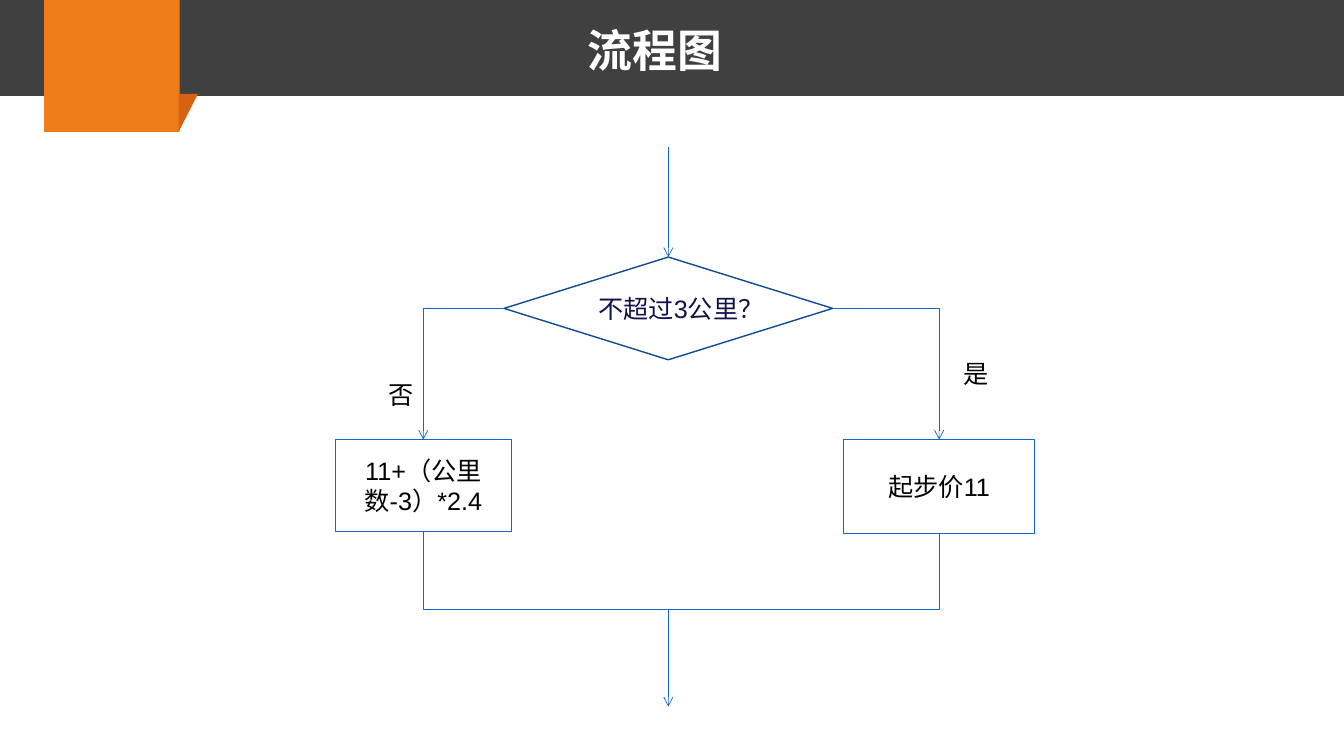
from dataclasses import dataclass

from lxml import etree
from pptx import Presentation
from pptx.dml.color import RGBColor
from pptx.enum.shapes import MSO_CONNECTOR, MSO_SHAPE
from pptx.enum.text import MSO_ANCHOR, PP_ALIGN
from pptx.oxml.ns import qn
from pptx.util import Pt

RECT = MSO_SHAPE.RECTANGLE
DIAMOND = MSO_SHAPE.DIAMOND
WEDGE = MSO_SHAPE.RIGHT_TRIANGLE
LINE = MSO_CONNECTOR.STRAIGHT
ELBOW = MSO_CONNECTOR.ELBOW
MIDDLE = MSO_ANCHOR.MIDDLE
CENTER = PP_ALIGN.CENTER
LEFT = PP_ALIGN.LEFT
TOP_SIDE, LEFT_SIDE, BASE_SIDE, RIGHT_SIDE = range(4)


@dataclass(frozen=True)
class Theme:
    band: str = "404040"
    tab: str = "EE7D19"
    fold: str = "D76213"
    white: str = "FFFFFF"
    black: str = "000000"
    navy: str = "12124A"
    rim: str = "0F4B99"
    blue: str = "1465CF"
    head: int = 32
    body: int = 18
    thin: float = 0.5
    edge: float = 1


THEME = Theme()
MID = 477.4  # axis of the flow
JOIN = 435.6  # height where both branches meet


def write(frame, text, align, color=THEME.black, size=THEME.body,
          face="Arial", bold=False):
    para = frame.paragraphs[0]
    para.alignment = align
    run = para.add_run()
    run.text = text
    style = {"name": face, "size": Pt(size), "bold": bold}
    for key, value in style.items():
        setattr(run.font, key, value)
    run.font.color.rgb = RGBColor.from_string(color)


def block(slide, kind, box, fill=None, line=None):
    shape = slide.shapes.add_shape(kind, *map(Pt, box))
    shape.shadow.inherit = False
    if fill:
        shape.fill.solid()
        shape.fill.fore_color.rgb = RGBColor.from_string(fill)
    else:
        shape.fill.background()
    if line:
        shape.line.color.rgb = RGBColor.from_string(line)
        shape.line.width = Pt(THEME.edge)
    else:
        shape.line.fill.background()
    return shape


def node(slide, kind, box, text, fill, line, color):
    shape = block(slide, kind, box, fill, line)
    shape.text_frame.word_wrap = True
    shape.text_frame.vertical_anchor = MIDDLE
    write(shape.text_frame, text, CENTER, color)
    return shape


def label(slide, box, text, align=LEFT, wrap=False, **style):
    frame = slide.shapes.add_textbox(*map(Pt, box)).text_frame
    frame.word_wrap = wrap
    write(frame, text, align, **style)


def link(slide, kind, start, end, begin=None, finish=None, arrow=True):
    """Draw a line; begin and finish are (shape, side) pairs to join."""
    line = slide.shapes.add_connector(kind, *map(Pt, start + end))
    if begin:
        line.begin_connect(*begin)
    if finish:
        line.end_connect(*finish)
    line.line.color.rgb = RGBColor.from_string(THEME.blue)
    line.line.width = Pt(THEME.thin)
    props = line._element.spPr
    if kind == ELBOW:
        props.find(qn("a:prstGeom")).set("prst", "bentConnector2")
    if arrow:
        etree.SubElement(props.find(qn("a:ln")), qn("a:tailEnd"), type="arrow")
    etree.SubElement(props, qn("a:effectLst"))


def header(slide):
    block(slide, RECT, (0, 0, 960, 68.6), THEME.band)
    block(slide, RECT, (31.5, 0, 96.8, 94.3), THEME.tab)
    fold = block(slide, WEDGE, (127.6, 67, 13.9, 27.3), THEME.fold)
    fold._element.spPr.find(qn("a:xfrm")).set("flipV", "1")
    label(slide, (412.6, 13, 110.9, 46), "流程图", CENTER, color=THEME.white,
          size=THEME.head, face="Calibri", bold=True)


def flow(slide):
    test = node(slide, DIAMOND, (360, 183.6, 234.8, 73.4), "不超过3公里？",
                None, THEME.rim, THEME.navy)
    link(slide, LINE, (MID, 105), (MID, 183.6), finish=(test, TOP_SIDE))

    branches = (
        ((602.6, 314, 136.4, 67), "起步价11", RIGHT_SIDE, 594.8),
        ((239.6, 314, 125.6, 65.6), "11+（公里数-3）*2.4", LEFT_SIDE, 360),
    )
    for box, text, side, tip in branches:
        left, top, width, height = box
        mid = left + width / 2
        step = node(slide, RECT, box, text, THEME.white, THEME.blue,
                    THEME.black)
        link(slide, ELBOW, (tip, 220.3), (mid, top), (test, side),
             (step, TOP_SIDE))
        link(slide, ELBOW, (MID, JOIN), (mid, top + height),
             finish=(step, BASE_SIDE), arrow=False)

    label(slide, (681.1, 252.7, 32.4, 28.8), "是")
    label(slide, (270.7, 267.2, 27.4, 28.8), "否", wrap=True)
    link(slide, LINE, (MID, JOIN), (MID, 504.7))


def main():
    deck = Presentation()
    deck.slide_width, deck.slide_height = Pt(960), Pt(540)
    slide = deck.slides.add_slide(deck.slide_layouts[6])
    header(slide)
    flow(slide)
    deck.save("out.pptx")


if __name__ == "__main__":
    main()
